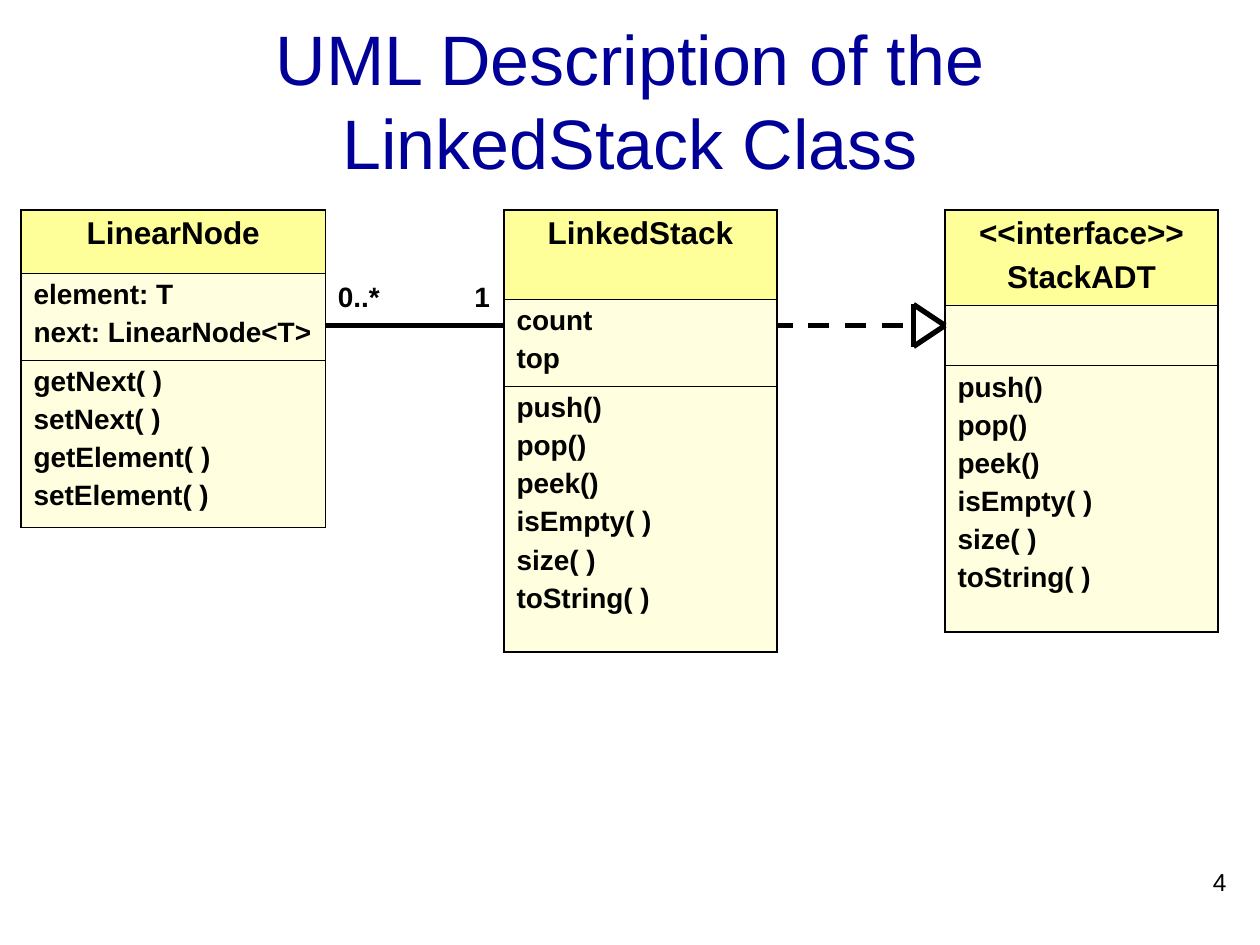
from pptx import Presentation
from pptx.dml.color import RGBColor
from pptx.enum.dml import MSO_LINE
from pptx.enum.shapes import MSO_CONNECTOR
from pptx.enum.text import MSO_ANCHOR, MSO_AUTO_SIZE, PP_ALIGN
from pptx.oxml.ns import qn
from pptx.util import Pt
from lxml import etree

LEFT, MID, RIGHT = PP_ALIGN.LEFT, PP_ALIGN.CENTER, PP_ALIGN.RIGHT
TOP, CENTER = MSO_ANCHOR.TOP, MSO_ANCHOR.MIDDLE
DASH = MSO_LINE.DASH
STRAIGHT = MSO_CONNECTOR.STRAIGHT
NO_FIT = MSO_AUTO_SIZE.NONE
FONT = "Arial"
COLORS = {"title": "000099", "ink": "000000", "head": "FFFF99", "body": "FFFFDF"}
THICK, THIN = 1.08, 0.45


def write(frame, lines, size=16, bold=True, color="ink", align=LEFT,
          before=0, anchor=TOP):
    frame.word_wrap = True
    frame.vertical_anchor = anchor
    for i, line in enumerate(lines):
        para = frame.paragraphs[0] if i == 0 else frame.add_paragraph()
        para.alignment = align
        para.space_before = Pt(before)
        run = para.add_run()
        run.text = line
        run.font.name, run.font.size, run.font.bold = FONT, Pt(size), bold
        run.font.color.rgb = RGBColor.from_string(COLORS[color])


def label(slide, box, text, **form):
    shape = slide.shapes.add_textbox(*map(Pt, box))
    write(shape.text_frame, [text], **form)


def line(slide, start, end, dash=None):
    link = slide.shapes.add_connector(STRAIGHT, *map(Pt, start + end))
    link.line.color.rgb = RGBColor.from_string(COLORS["ink"])
    link.line.width = Pt(3)
    if dash is not None:
        link.line.dash_style = dash
    etree.SubElement(link._element.spPr, qn("a:effectLst"))


def edge(cell, side, width):
    # Borders must come before the fill in the cell properties
    props = cell._tc.get_or_add_tcPr()
    rule = etree.SubElement(props, qn("a:" + side), w=str(Pt(width)))
    fill = etree.SubElement(rule, qn("a:solidFill"))
    etree.SubElement(fill, qn("a:srgbClr"), val=COLORS["ink"])


def uml_class(slide, left, top, width, heights, parts):
    """Draw a class as three stacked rows: name, fields, methods."""
    last = len(parts) - 1
    frame = slide.shapes.add_table(len(parts), 1, Pt(left), Pt(top),
                                   Pt(width), Pt(sum(heights)))
    table = frame.table
    table.first_row = table.horz_banding = False
    for i, (height, lines) in enumerate(zip(heights, parts)):
        table.rows[i].height = Pt(height)
        cell = table.cell(i, 0)
        edge(cell, "lnL", THICK)
        edge(cell, "lnR", THICK)
        edge(cell, "lnT", THICK if i == 0 else THIN)
        edge(cell, "lnB", THICK if i == last else THIN)
        cell.fill.solid()
        cell.fill.fore_color.rgb = RGBColor.from_string(
            COLORS["body" if i else "head"])
        form = {"before": 4} if i else {"size": 18, "align": MID, "before": 4.5}
        write(cell.text_frame, lines, **form)


def heading(slide, box, text):
    title = slide.shapes.title
    title.left, title.top, title.width, title.height = map(Pt, box)
    title.text_frame.auto_size = NO_FIT
    write(title.text_frame, [text], size=40, bold=False, color="title",
          align=MID, anchor=CENTER)


def one_to_many(slide, left, right, y):
    line(slide, (right, y), (left, y))
    label(slide, (left, y - 30, 42, 26.4), "0..*", before=10)
    label(slide, (right - 24, y - 30, 30, 26.4), "1", before=10)


def realizes(slide, left, right, y):
    # Open triangle, then the dashed shaft
    back = right - 18
    high, low, tip = (back, y - 12), (back, y + 12), (right, y)
    for start, end in ((high, low), (high, tip), (tip, low)):
        line(slide, start, end)
    line(slide, (back - 6, y), (left, y), dash=DASH)


deck = Presentation()
deck.slide_width, deck.slide_height = Pt(720), Pt(540)
slide = deck.slides.add_slide(deck.slide_layouts[5])
heading(slide, (54, 12, 612, 90), "UML Description of the LinkedStack Class")

# Classes
STACK = ["push()", "pop()", "peek()", "isEmpty( )", "size( )", "toString( )"]
NODE = ["getNext( )", "setNext( )", "getElement( )", "setElement( )"]
CLASSES = [
    (540, 156, (54.7, 34.3, 152), (["<<interface>>", "StackADT"], [], STACK)),
    (12, 174, (36, 49.7, 95.8),
     (["LinearNode"], ["element: T", "next: LinearNode<T>"], NODE)),
    (288, 156, (51, 49.7, 152), (["LinkedStack"], ["count", "top"], STACK)),
]
for left, width, heights, parts in CLASSES:
    uml_class(slide, left, 120, width, heights, parts)

# Relations
realizes(slide, 444, 540, 186)
one_to_many(slide, 186, 288, 186)

# Page number
label(slide, (558, 492, 150, 36), "4", size=14, bold=False, align=RIGHT)

deck.save("out.pptx")
